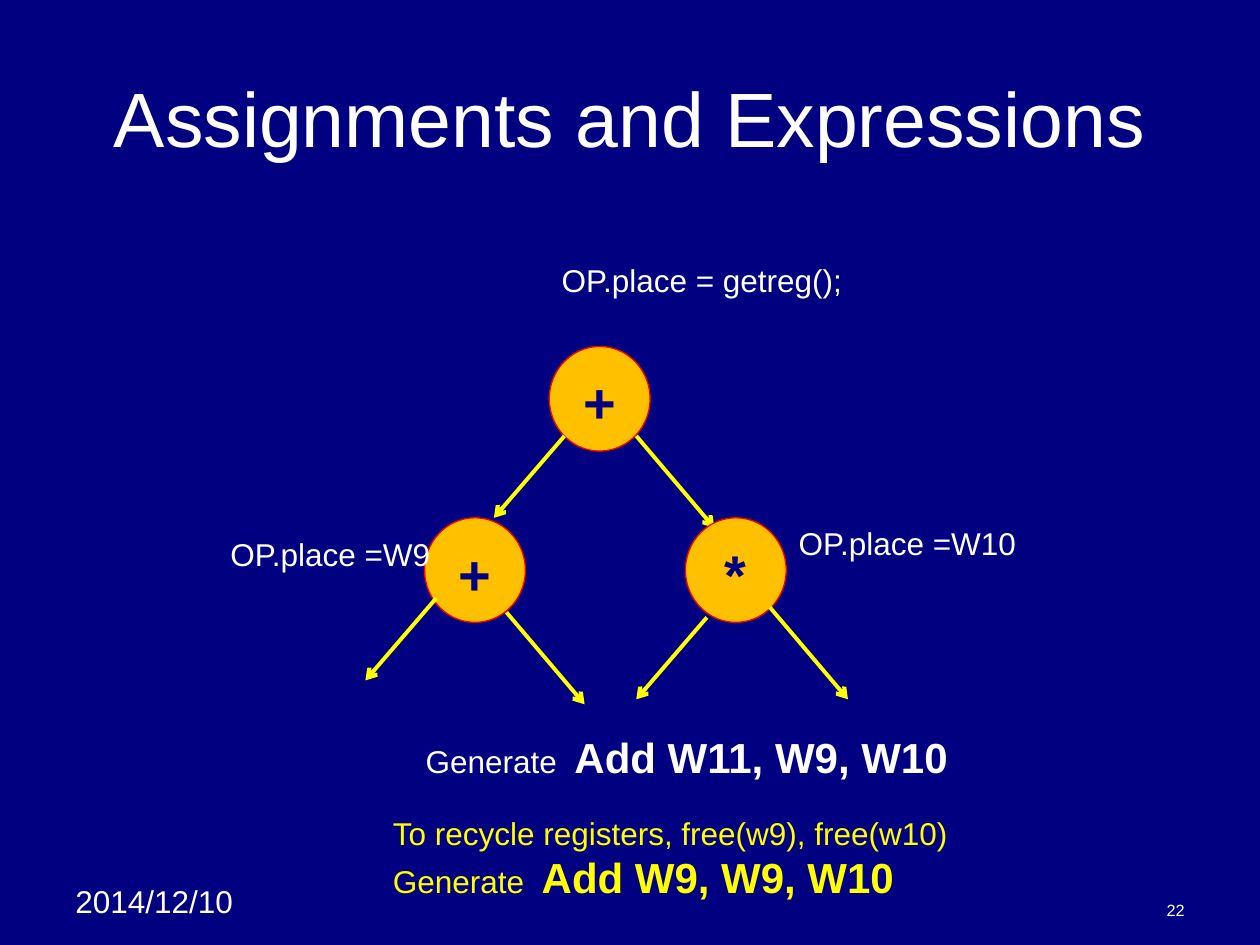
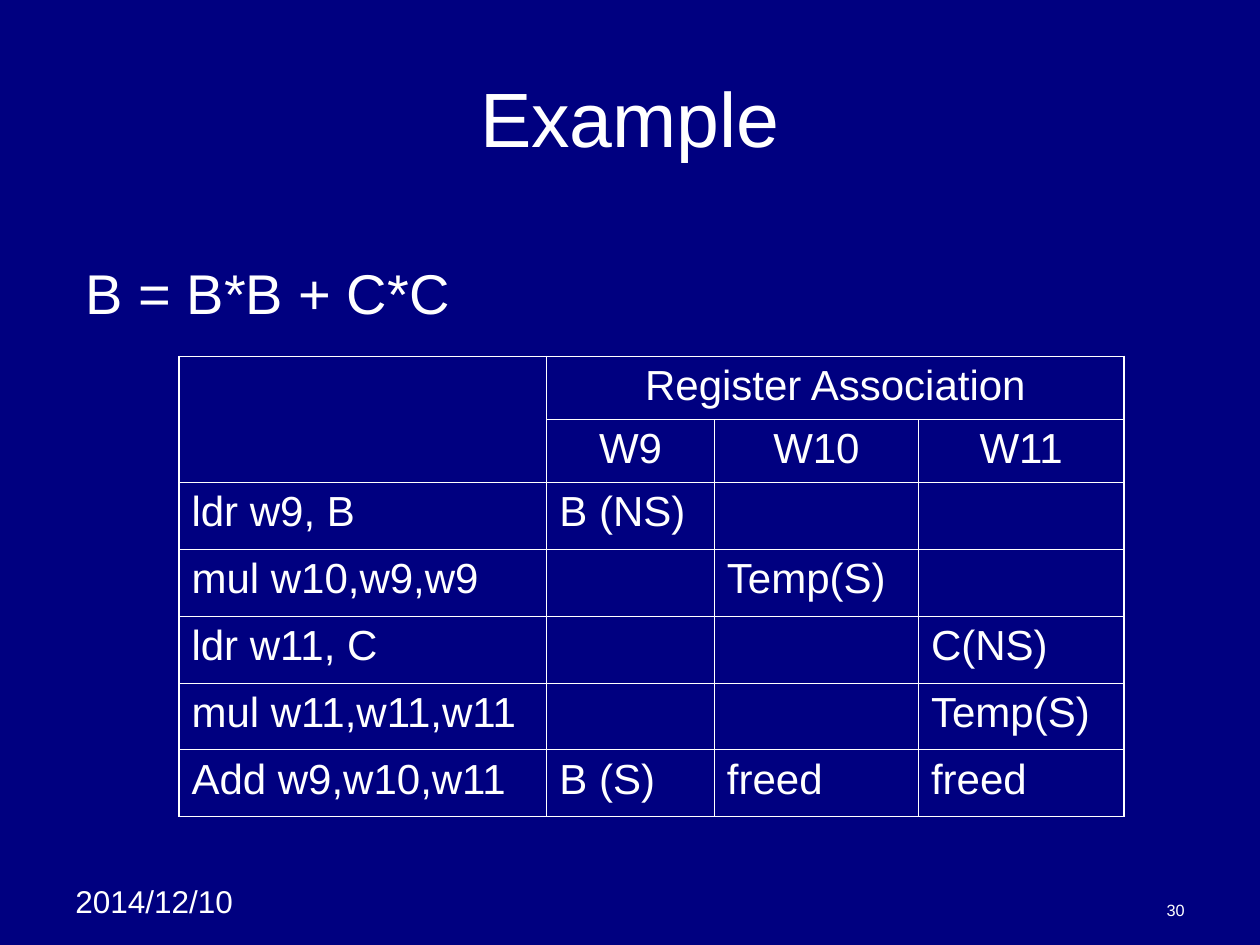
from lxml import etree
from pptx import Presentation, util as u
from pptx.dml.color import RGBColor
from pptx.enum import shapes, text
from pptx.oxml.ns import qn

FONT = "Arial"
COLORS = {
    "navy": "000080",
    "white": "FFFFFF",
    "yellow": "FFFF00",
    "amber": "FFC000",
    "red": "FF0000",
}
ALIGN = text.PP_ALIGN
ANCHOR = text.MSO_ANCHOR


def rgb(name):
    return RGBColor.from_string(COLORS[name])


def inches(*lengths):
    return [u.Inches(length) for length in lengths]


class SlideBuilder:
    """Holds the shared style and the page being built."""

    def __init__(self):
        self.deck = Presentation()
        self.deck.slide_width, self.deck.slide_height = inches(10, 7.5)
        fill = self.deck.slide_master.background.fill
        fill.solid()
        fill.fore_color.rgb = rgb("navy")
        self.page = None

    def new_page(self, layout, title, number):
        self.page = self.deck.slides.add_slide(self.deck.slide_layouts[layout])
        self.placeholder(0, (0.5, 0.3, 9, 1.25), title, 44, ALIGN.CENTER, ANCHOR.MIDDLE)
        self.text_box((0.5, 6.95, 1.58, 0.4), [[("2014/12/10", 18, False)]], wrap=True)
        self.text_box((7.17, 7.08, 2.33, 0.27), [[(number, 9.3, False)]], wrap=True,
                      align=ALIGN.RIGHT, anchor=ANCHOR.BOTTOM, grow=False)

    def add_spans(self, para, spans, color="white", align=ALIGN.LEFT):
        para.alignment = align
        para.space_before = u.Pt(0)
        for words, size, bold in spans:
            span = para.add_run()
            span.text = words
            span.font.name = FONT
            span.font.size = u.Pt(size)
            span.font.bold = bold
            span.font.color.rgb = rgb(color)

    def placeholder(self, index, place, words, size, align, anchor):
        box = self.page.placeholders[index]
        box.left, box.top, box.width, box.height = inches(*place)
        frame = box.text_frame
        frame.vertical_anchor = anchor
        frame.auto_size = text.MSO_AUTO_SIZE.NONE
        para = frame.paragraphs[0]
        if index:
            props = para._p.get_or_add_pPr()
            props.set("marL", str(u.Inches(0.38)))
            props.set("indent", str(u.Inches(-0.38)))
            etree.SubElement(props, qn("a:buNone"))
        self.add_spans(para, [(words, size, False)], align=align)

    def text_box(self, place, lines, color="white", wrap=False,
                 align=ALIGN.LEFT, anchor=ANCHOR.TOP, grow=True):
        frame = self.page.shapes.add_textbox(*inches(*place)).text_frame
        frame.word_wrap = wrap
        frame.vertical_anchor = anchor
        sizing = text.MSO_AUTO_SIZE
        frame.auto_size = sizing.SHAPE_TO_FIT_TEXT if grow else sizing.NONE
        for row, spans in enumerate(lines):
            para = frame.add_paragraph() if row else frame.paragraphs[0]
            self.add_spans(para, spans, color, align)

    def operator(self, left, top, symbol):
        node = self.page.shapes.add_shape(
            shapes.MSO_SHAPE.OVAL, *inches(left, top, 0.8, 0.83))
        node.shadow.inherit = False
        node.fill.solid()
        node.fill.fore_color.rgb = rgb("amber")
        node.line.color.rgb = rgb("red")
        node.line.width = u.Pt(0.75)
        node.text_frame.vertical_anchor = ANCHOR.TOP
        self.add_spans(node.text_frame.paragraphs[0], [(symbol, 32, True)],
                       "navy", ALIGN.CENTER)

    def branch(self, x, y, step):
        arrow = self.page.shapes.add_connector(
            shapes.MSO_CONNECTOR.STRAIGHT, *inches(x, y, x + step[0], y + step[1]))
        arrow.line.color.rgb = rgb("yellow")
        arrow.line.width = u.Pt(2.25)
        etree.SubElement(arrow.line._get_or_add_ln(), qn("a:tailEnd"), type="arrow")
        etree.SubElement(arrow._element.spPr, qn("a:effectLst"))

    def border(self, cell, side, points):
        line = etree.SubElement(cell._tc.get_or_add_tcPr(), qn("a:ln" + side),
                                w=str(u.Pt(points)))
        fill = etree.SubElement(line, qn("a:solidFill"))
        etree.SubElement(fill, qn("a:srgbClr"), val=COLORS["white"])

    def table(self, place, widths, heights, rows, merges, header_rows):
        last_row, last_column = len(rows), len(widths)
        grid = self.page.shapes.add_table(last_row, last_column, *inches(*place)).table
        grid.first_row = grid.horz_banding = False
        for column, width in zip(grid.columns, widths):
            column.width = u.Inches(width)
        for row, height in zip(grid.rows, heights):
            row.height = u.Inches(height)
        for start, end in merges:
            grid.cell(*start).merge(grid.cell(*end))
        for r, values in enumerate(rows):
            for c, value in enumerate(values):
                cell = grid.cell(r, c)
                outer = {
                    "L": c == 0,
                    "R": c + cell.span_width == last_column,
                    "T": r == 0,
                    "B": r + cell.span_height == last_row,
                }
                for side, on_edge in outer.items():
                    self.border(cell, side, 1.08 if on_edge else 0.45)
                cell.fill.background()
                if value:
                    align = ALIGN.CENTER if r < header_rows else ALIGN.LEFT
                    self.add_spans(cell.text_frame.paragraphs[0],
                                   [(value, 24, False)], align=align)


def build_expression_tree(slides):
    slides.new_page(5, "Assignments and Expressions", "22")
    down_left, down_right = (-0.56, 0.65), (0.62, 0.73)

    # Tree: the root's branches lie behind the lower operators
    slides.operator(4.36, 2.75, "+")
    slides.branch(4.48, 3.46, down_left)
    slides.branch(5.05, 3.46, down_right)
    slides.operator(3.37, 4.11, "+")
    slides.operator(5.44, 4.11, "*")
    for x, y, step in [(3.46, 4.75, down_left), (5.61, 4.9, down_left),
                       (4.02, 4.86, down_right), (6.11, 4.82, down_right)]:
        slides.branch(x, y, step)

    # Register labels
    for place, label in [((1.73, 4.2, 1.82, 0.4), "OP.place =W9"),
                         ((6.24, 4.11, 1.96, 0.4), "OP.place =W10"),
                         ((4.36, 2.02, 2.46, 0.4), "OP.place = getreg();")]:
        slides.text_box(place, [[(label, 18, False)]])

    # Generated code
    generate = ("Generate  ", 18, False)
    slides.text_box((3.28, 5.76, 4.36, 0.5),
                    [[generate, ("Add W11, W9, W10", 24, True)]])
    slides.text_box((3.02, 6.41, 4.63, 0.8),
                    [[("To recycle registers, free(w9), free(w10)", 18, False)],
                     [generate, ("Add W9, W9, W10", 24, True)]], "yellow")


def build_register_example(slides):
    slides.new_page(1, "Example", "30")
    slides.placeholder(1, (0.58, 2, 9.17, 4.75), "B = B*B + C*C", 32,
                       ALIGN.LEFT, ANCHOR.TOP)

    # Register association after each instruction
    rows = [
        ("", "Register Association", "", ""),
        ("", "W9", "W10", "W11"),
        ("ldr w9, B", "B (NS)", "", ""),
        ("mul w10,w9,w9", "", "Temp(S)", ""),
        ("ldr w11, C", "", "", "C(NS)"),
        ("mul w11,w11,w11", "", "", "Temp(S)"),
        ("Add w9,w10,w11", "B (S)", "freed", "freed"),
    ]
    slides.table((1.42, 2.83, 7.5, 3.64), [2.92, 1.33, 1.62, 1.63],
                 [0.5] * 2 + [0.53] * 5, rows,
                 merges=[((0, 0), (1, 0)), ((0, 1), (0, 3))], header_rows=2)


def main():
    slides = SlideBuilder()
    build_expression_tree(slides)
    build_register_example(slides)
    slides.deck.save("out.pptx")


if __name__ == "__main__":
    main()
